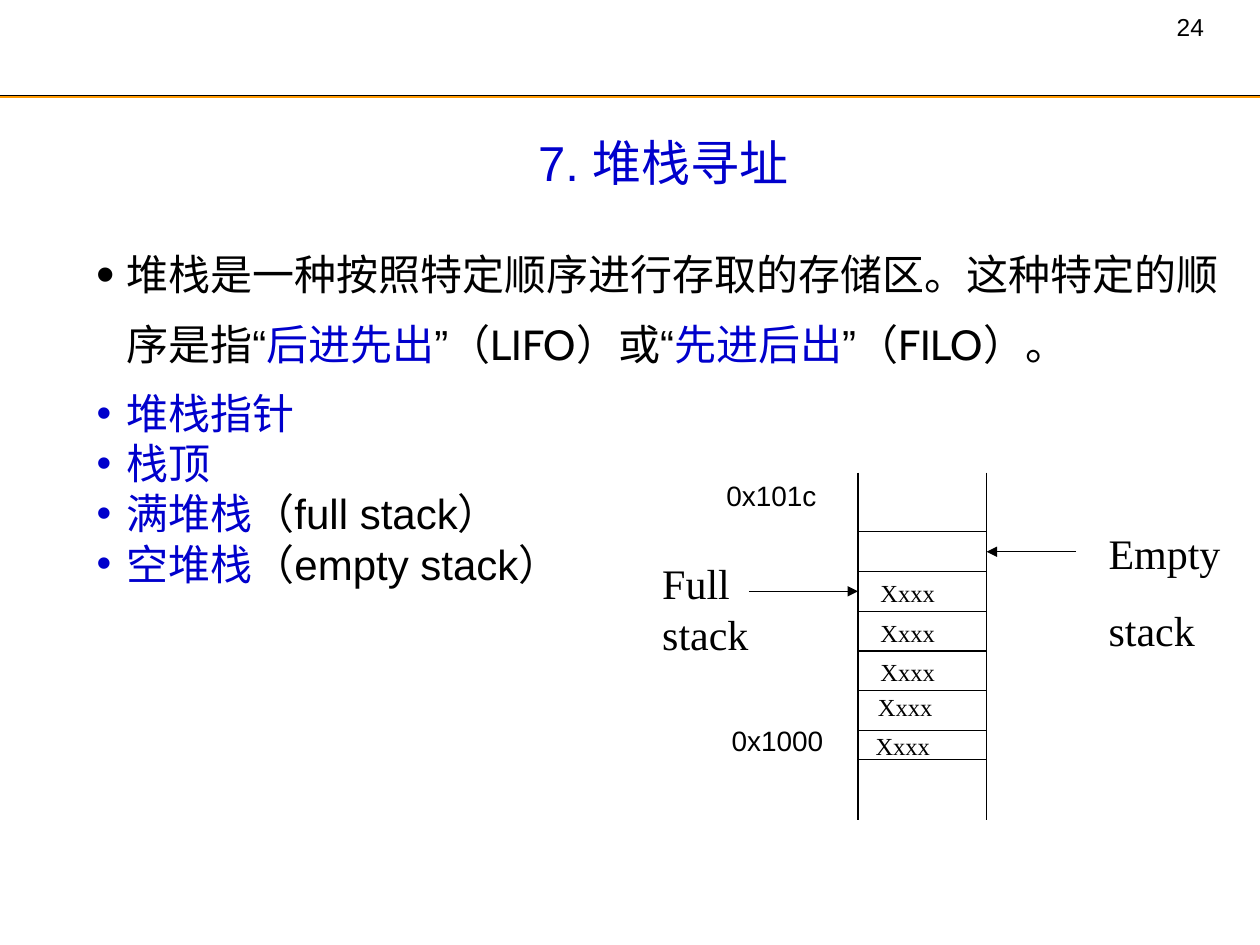
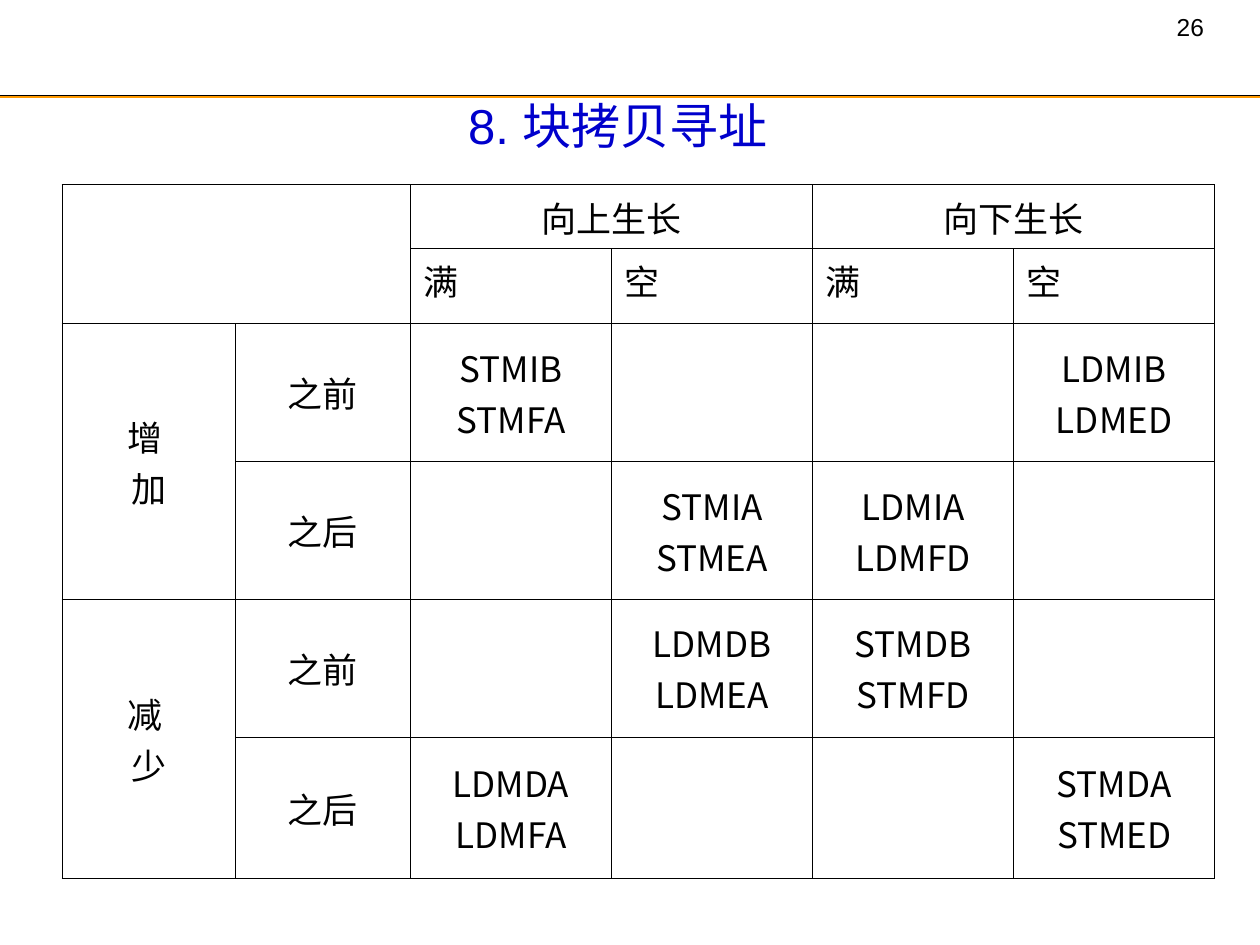
"""Build two slides on stack addressing and block copy addressing."""
from lxml import etree
from pptx import Presentation
from pptx.dml.color import RGBColor
from pptx.enum.shapes import MSO_CONNECTOR
from pptx.enum.text import MSO_ANCHOR, PP_ALIGN
from pptx.oxml.ns import qn
from pptx.util import Pt

STRAIGHT = MSO_CONNECTOR.STRAIGHT
MIDDLE, TOP = MSO_ANCHOR.MIDDLE, MSO_ANCHOR.TOP
CENTER, LEFT = PP_ALIGN.CENTER, PP_ALIGN.LEFT

BLACK, BLUE, ORANGE, WHITE = "000000", "0000CC", "FF9900", "FFFFFF"
SANS, BODY, SERIF, CJK = "Arial", "Cabin", "Times New Roman", "Noto Sans CJK SC"

STACK_POINTS = [
    [("堆栈是一种按照特定顺序进行存取的存储区。这种特定的顺序是指", BODY, BLACK),
     ("“", SANS, BLACK), ("后进先出", BODY, BLUE), ("”", SANS, BLACK),
     ("（LIFO）或", BODY, BLACK), ("“", SANS, BLACK),
     ("先进后出", BODY, BLUE), ("”", SANS, BLACK), ("（FILO）。", BODY, BLACK)],
    [("堆栈指针", SANS, BLUE)],
    [("栈顶", SANS, BLUE)],
    [("满堆栈", SANS, BLUE), ("（full stack）", SANS, BLACK)],
    [("空堆栈", SANS, BLUE), ("（empty stack）", SANS, BLACK)],
]

BLOCK_ROWS = [
    ["", "", "向上生长", "", "向下生长", ""],
    ["", "", "满", "空", "满", "空"],
    ["增 \n加", "之前", "STMIB\nSTMFA", "", "", "LDMIB\nLDMED"],
    ["", "之后", "", "STMIA\nSTMEA", "LDMIA\nLDMFD", ""],
    ["减 \n少", "之前", "", "LDMDB\nLDMEA", "STMDB\nSTMFD", ""],
    ["", "之后", "LDMDA\nLDMFA", "", "", "STMDA\nSTMED"],
]
BLOCK_MERGES = [(0, 0, 1, 1), (0, 2, 0, 3), (0, 4, 0, 5), (2, 0, 3, 0), (4, 0, 5, 0)]
COL_WIDTHS = [99.2, 100] + [114.9] * 4
ROW_HEIGHTS = [36.6, 42.9] + [78.7] * 3 + [81]


def rgb(color):
    """Turn a hex string into a colour."""
    return RGBColor.from_string(color)


def format_run(r, size, font, color):
    """Set size, colour and Latin and East Asian typeface of a run."""
    r.font.size = Pt(size)
    r.font.name = font
    r.font.color.rgb = rgb(color)
    etree.SubElement(r.font._element, qn("a:ea"), typeface=font)


def format_text(tf, size, font, color=BLACK, align=LEFT, before=0):
    """Format every paragraph of a text frame alike."""
    for p in tf.paragraphs:
        p.alignment = align
        p.space_before = Pt(before)
        for r in p.runs:
            format_run(r, size, font, color)


def add_label(slide, text, box, size, font, before=0, wrap=True):
    """Add a plain text box."""
    sp = slide.shapes.add_textbox(*map(Pt, box))
    tf = sp.text_frame
    tf.word_wrap = wrap
    tf.text = text
    format_text(tf, size, font, before=before)


def add_line(slide, x1, y1, x2, y2, color=BLACK, arrow=False):
    """Add a thin straight line, with an arrowhead at its end if wanted."""
    line = slide.shapes.add_connector(STRAIGHT, Pt(x1), Pt(y1), Pt(x2), Pt(y2))
    line.line.width = Pt(0.75)
    line.line.color.rgb = rgb(color)
    if arrow:
        etree.SubElement(line.line._get_or_add_ln(), qn("a:tailEnd"), type="triangle")
    etree.SubElement(line._element.spPr, qn("a:effectLst"))


def add_slide(prs, title, title_box, number):
    """Add a slide with title, header rules and page number."""
    slide = prs.slides.add_slide(prs.slide_layouts[5])
    sp = slide.shapes.title
    sp.left, sp.top, sp.width, sp.height = map(Pt, title_box)
    tf = sp.text_frame
    tf.vertical_anchor = MIDDLE
    tf.text = title
    format_text(tf, 28, SANS, BLUE, CENTER)
    add_label(slide, number, (665.3, 3.6, 78.5, 24.5), 14, SANS, wrap=False)
    add_line(slide, 0, 54.7, 720, 54.7)
    add_line(slide, 0, 55.4, 720, 55.4, ORANGE)
    return slide


def set_bullet(p, color, percent):
    """Give a paragraph a hanging round bullet."""
    pPr = p._p.get_or_add_pPr()
    pPr.set("marL", str(Pt(17)))
    pPr.set("indent", str(-Pt(17)))
    clr = etree.SubElement(pPr, qn("a:buClr"))
    etree.SubElement(clr, qn("a:srgbClr"), val=color)
    etree.SubElement(pPr, qn("a:buSzPct"), val=str(percent * 1000))
    etree.SubElement(pPr, qn("a:buFont"), typeface=SANS)
    etree.SubElement(pPr, qn("a:buChar"), char="•")


def add_bullets(slide, points, box):
    """Add the bulleted text, with a looser first paragraph."""
    tf = slide.shapes.add_textbox(*map(Pt, box)).text_frame
    tf.word_wrap = True
    for i, runs in enumerate(points):
        p = tf.add_paragraph() if i else tf.paragraphs[0]
        p.line_spacing = Pt(28.7 if i else 40)
        p.space_after = Pt(0 if i else 10.5)
        set_bullet(p, runs[0][2] , 100 if i else 125)
        for text, font, color in runs:
            r = p.add_run()
            r.text = text
            format_run(r, 24, font, color)


def add_stack(slide):
    """Draw the memory stack with its cells, pointers and addresses."""
    left, right, first, pitch = 490.3, 563.8, 303.9, 22.7
    for x in (left, right):
        add_line(slide, x, 270, x, 468.7)
    for y in [first + pitch * i for i in range(6)] + [434.2]:
        add_line(slide, left, y, right, y)
    for x, y in ((496, 326.9), (496, 349.5), (496, 372.2), (494.6, 391.7), (493.2, 414)):
        add_label(slide, "Xxxx", (x, y, 57, 24.5), 14, SERIF)
    add_line(slide, 427.9, 337.9, left, 337.9, arrow=True)
    add_line(slide, 615, 315.3, right, 315.3, arrow=True)
    add_label(slide, "Full stack", (371.3, 315.3, 73.5, 65), 24, SERIF, before=15)
    add_label(slide, "Empty\nstack", (626.4, 298.1, 79.2, 80), 24, SERIF, before=15)
    add_label(slide, "0x101c", (408, 270, 76.3, 26.6), 16, SANS)
    add_label(slide, "0x1000", (411, 410, 67.7, 46), 16, SANS)


def format_cell(cell, text, align, anchor):
    """Fill, frame and label one table cell."""
    tcPr = cell._tc.get_or_add_tcPr()
    for side in ("lnL", "lnR", "lnT", "lnB"):
        ln = etree.SubElement(tcPr, qn(f"a:{side}"), w=str(Pt(0.45)))
        fill = etree.SubElement(ln, qn("a:solidFill"))
        etree.SubElement(fill, qn("a:srgbClr"), val=BLACK)
    cell.fill.solid()
    cell.fill.fore_color.rgb = rgb(WHITE)
    cell.vertical_anchor = anchor
    cell.text_frame.text = text
    format_text(cell.text_frame, 20, CJK, align=align)


def add_block_table(slide):
    """Add the table of block copy instructions."""
    shape = slide.shapes.add_table(len(ROW_HEIGHTS), len(COL_WIDTHS), Pt(35.4), Pt(105.5),
                                   Pt(sum(COL_WIDTHS)), Pt(sum(ROW_HEIGHTS)))
    table = shape.table
    table.first_row = table.horz_banding = False
    for col, width in zip(table.columns, COL_WIDTHS):
        col.width = Pt(width)
    for row, height in zip(table.rows, ROW_HEIGHTS):
        row.height = Pt(height)
    for i, texts in enumerate(BLOCK_ROWS):
        align, anchor = (LEFT, TOP) if i == 1 else (CENTER, MIDDLE)
        for j, text in enumerate(texts):
            format_cell(table.cell(i, j), text, align, anchor)
    for top, left, bottom, right in BLOCK_MERGES:
        table.cell(top, left).merge(table.cell(bottom, right))


def main():
    """Build and save the slides."""
    prs = Presentation()
    prs.slide_width, prs.slide_height = Pt(720), Pt(540)
    slide = add_slide(prs, "7. 堆栈寻址", (54, 72, 650, 41), "24")
    add_bullets(slide, STACK_POINTS, (48.2, 127.5, 671.8, 214))
    add_stack(slide)
    slide = add_slide(prs, "8. 块拷贝寻址", (28.5, 51.1, 649, 41), "26")
    add_block_table(slide)
    prs.save("out.pptx")


if __name__ == "__main__":
    main()
